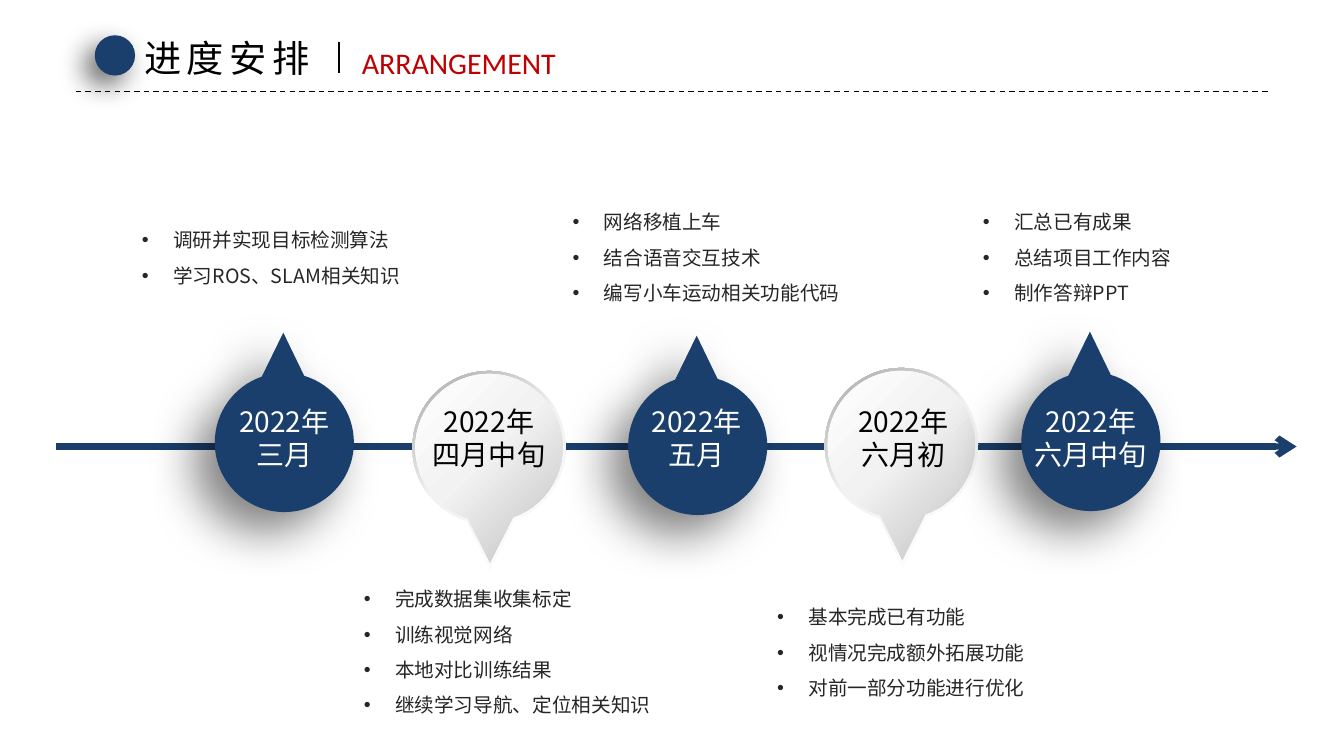
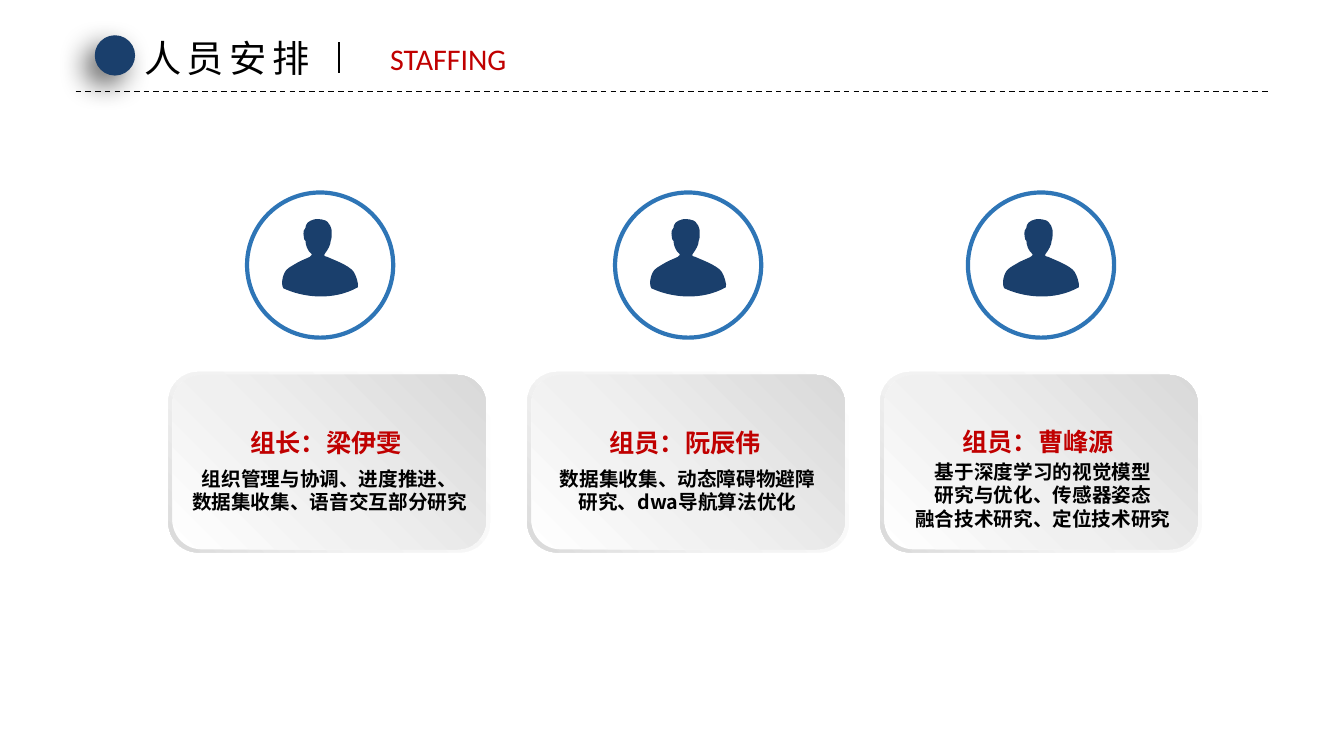
from math import cos, pi, sin, tan

from lxml import etree
from pptx import Presentation
from pptx.dml.color import RGBColor
from pptx.enum.dml import MSO_LINE
from pptx.enum.shapes import MSO_CONNECTOR, MSO_SHAPE
from pptx.enum.text import MSO_AUTO_SIZE, PP_ALIGN
from pptx.oxml.ns import qn
from pptx.util import Inches, Pt

# Shared style
NAVY = RGBColor(0x1A, 0x3F, 0x6C)
BLUE = RGBColor(0x2E, 0x75, 0xB6)
RED = RGBColor(0xC0, 0x00, 0x00)
DARK = RGBColor(0x26, 0x26, 0x26)
BLACK = RGBColor(0x00, 0x00, 0x00)
WHITE = RGBColor(0xFF, 0xFF, 0xFF)
CJK_FONT = "Noto Sans CJK SC"
LATIN_FONT = "Calibri"
LEFT, CENTER = PP_ALIGN.LEFT, PP_ALIGN.CENTER
OVAL, ROUNDED = MSO_SHAPE.OVAL, MSO_SHAPE.ROUNDED_RECTANGLE
STRAIGHT, DASH = MSO_CONNECTOR.STRAIGHT, MSO_LINE.DASH
FIT_SHAPE = MSO_AUTO_SIZE.SHAPE_TO_FIT_TEXT

# Gradients: clockwise angle and stops (position in percent, colour)
PIN_RIM = (235, [(0, "FFFFFF"), (55, "F2F2F2"), (100, "A6A6A6")])
PIN_FACE = (45, [(0, "FFFFFF"), (45, "F2F2F2"), (100, "BFBFBF")])
CARD_RIM = (135, [(0, "FFFFFF"), (62, "F2F2F2"), (100, "D9D9D9")])
CARD_FACE = (315, [(0, "FFFFFF"), (42, "F0F0F0"), (100, "D9D9D9")])

# Shadows: opacity in percent, blur and distance in points
DOT_SHADOW = (60, 20, 10)
PIN_SHADOW = (50, 35, 20)

# Bust outline in hundredths of an inch: start, then cubic curves
BUST_START = (106, 79)
BUST_CURVES = [
    ((102, 72), (81, 65), (80, 64)), ((79, 64), (75, 63), (77, 61)),
    ((80, 57), (83, 52), (83, 48)), ((83, 48), (84, 46), (84, 42)),
    ((84, 41), (84, 39), (84, 38)), ((84, 38), (83, 28), (75, 27)),
    ((75, 27), (68, 25), (63, 28)), ((58, 30), (58, 35), (58, 35)),
    ((56, 37), (56, 39), (56, 41)), ((56, 44), (57, 47), (57, 47)),
    ((57, 47), (57, 47), (58, 48)), ((58, 52), (60, 58), (64, 61)),
    ((65, 61), (64, 63), (62, 64)), ((60, 65), (55, 67), (51, 69)),
    ((46, 72), (42, 74), (40, 76)), ((36, 79), (33, 90), (36, 95)),
    ((55, 104), (85, 108), (110, 94)), ((111, 91), (108, 82), (106, 79)),
]

# Timeline: centre, points up, label left, second label line, list place, tasks
MILESTONES = [
    (2.82, 4.39, True, 2.13, "三月", (1.31, 2.1, 3.02, 0.81),
     ["调研并实现目标检测算法", "学习ROS、SLAM相关知识"]),
    (4.85, 4.44, False, 4.16, "四月中旬", (3.51, 5.66, 3.13, 1.51),
     ["完成数据集收集标定", "训练视觉网络", "本地对比训练结果",
      "继续学习导航、定位相关知识"]),
    (6.92, 4.42, True, 6.22, "五月", (5.58, 1.92, 3.02, 1.16),
     ["网络移植上车", "结合语音交互技术", "编写小车运动相关功能代码"]),
    (8.94, 4.41, False, 8.27, "六月初", (7.61, 5.84, 3.02, 1.16),
     ["基本完成已有功能", "视情况完成额外拓展功能", "对前一部分功能进行优化"]),
    (10.82, 4.38, True, 10.13, "六月中旬", (9.65, 1.92, 3.02, 1.16),
     ["汇总已有成果", "总结项目工作内容", "制作答辩PPT"]),
]

# Team: icon left, card left, name top, name, place of duties, duties
MEMBERS = [
    (2.45, 1.67, 4.24, "组长：梁伊雯", (1.85, 4.63, 2.84, 0.47),
     ["组织管理与协调、进度推进、", "数据集收集、语音交互部分研究"]),
    (6.1, 5.23, 4.24, "组员：阮辰伟", (5.4, 4.63, 2.84, 0.47),
     ["数据集收集、动态障碍物避障", "研究、dwa导航算法优化"]),
    (9.6, 8.73, 4.23, "组员：曹峰源", (9.05, 4.56, 2.59, 0.94),
     ["基于深度学习的视觉模型", "研究与优化、传感器姿态", "融合技术研究、定位技术研究"]),
]


def add_xml(parent, tag, **attributes):
    return etree.SubElement(parent, qn(tag), {k: str(v) for k, v in attributes.items()})


def pin_segments(x, y, radius, reach, side):
    """Tip, then a line and four arcs; side is -1 for a tip above, 1 below."""
    skew = 0.02 * side
    angles = [0.31 + skew, pi / 2, pi, 3 * pi / 2, 2 * pi - 0.31 + skew]

    def on_circle(angle, pull=0):
        return (x + radius * (sin(angle) + pull * cos(angle)),
                y + side * radius * (cos(angle) - pull * sin(angle)))

    segments = [[on_circle(angles[0])]]
    for start, end in zip(angles, angles[1:]):
        pull = 4 / 3 * tan((end - start) / 4)
        segments.append([on_circle(start, pull), on_circle(end, -pull), on_circle(end)])
    return (x + 0.01 * side, y + side * reach), segments


class SlideBuilder:
    def __init__(self, deck):
        self.deck = deck
        self.page = None

    def start_page(self, title, subtitle, subtitle_place, subtitle_align=LEFT):
        self.page = self.deck.slides.add_slide(self.deck.slide_layouts[6])
        self.line(0.75, 0.91, 12.58, 0.91, BLACK, 1, dash=DASH)
        self.shape(OVAL, 0.94, 0.35, 0.4, 0.4, NAVY, shadow=DOT_SHADOW)
        self.text((1.33, 0.3, 1.91, 0.55), [title], 26.6, BLACK, wrap=False, spacing=4)
        self.text(subtitle_place, [subtitle], 21.4, RED, subtitle_align,
                  font=LATIN_FONT, wrap=False)
        self.line(3.36, 0.42, 3.36, 0.72, BLACK, 1.5)

    def line(self, x1, y1, x2, y2, color, width, dash=None, arrow=False):
        line = self.page.shapes.add_connector(
            STRAIGHT, Inches(x1), Inches(y1), Inches(x2), Inches(y2))
        line.line.color.rgb = color
        line.line.width = Pt(width)
        if dash:
            line.line.dash_style = dash
        if arrow:
            add_xml(line.line._get_or_add_ln(), "a:tailEnd", type="arrow")
        add_xml(line._element.spPr, "a:effectLst")

    def paint(self, shape, fill, outline=None, shadow=None):
        """Fill with a colour or a gradient; optional outline and shadow."""
        shape.shadow.inherit = False
        if isinstance(fill, RGBColor):
            shape.fill.solid()
            shape.fill.fore_color.rgb = fill
        else:
            angle, stops = fill
            shape.fill.gradient()
            gradient = shape._element.spPr.find(qn("a:gradFill"))
            for child in list(gradient):
                gradient.remove(child)
            stop_list = add_xml(gradient, "a:gsLst")
            for position, color in stops:
                stop = add_xml(stop_list, "a:gs", pos=position * 1000)
                add_xml(stop, "a:srgbClr", val=color)
            add_xml(gradient, "a:lin", ang=angle * 60000, scaled=0)
        if outline:
            shape.line.color.rgb = outline
            shape.line.width = Pt(3)
        else:
            shape.line.fill.background()
        if shadow:
            opacity, blur, distance = shadow
            effects = shape._element.spPr.find(qn("a:effectLst"))
            outer = add_xml(effects, "a:outerShdw", blurRad=Pt(blur), dist=Pt(distance),
                            dir=135 * 60000, algn="tr", rotWithShape=0)
            color = add_xml(outer, "a:srgbClr", val="000000")
            add_xml(color, "a:alpha", val=opacity * 1000)

    def shape(self, kind, left, top, width, height, fill, outline=None, shadow=None):
        shape = self.page.shapes.add_shape(
            kind, Inches(left), Inches(top), Inches(width), Inches(height))
        self.paint(shape, fill, outline, shadow)

    def outline(self, place, start, segments, fill, shadow=None):
        """A closed outline; segments hold one point (line) or three (curve)."""
        builder = self.page.shapes.build_freeform(Inches(start[0]), Inches(start[1]))
        builder.add_line_segments(
            [(Inches(x), Inches(y)) for x, y in (points[-1] for points in segments)])
        shape = builder.convert_to_shape()
        left, top, width, height = (Inches(value) for value in place)
        shape.left, shape.top, shape.width, shape.height = left, top, width, height
        contour = next(shape._element.iter(qn("a:path")))
        for child in list(contour):
            contour.remove(child)
        contour.set("w", str(width))
        contour.set("h", str(height))
        for index, points in enumerate([[start]] + segments):
            tag = "a:cubicBezTo" if len(points) == 3 else "a:lnTo"
            step = add_xml(contour, tag if index else "a:moveTo")
            for x, y in points:
                add_xml(step, "a:pt", x=Inches(x) - left, y=Inches(y) - top)
        add_xml(contour, "a:close")
        self.paint(shape, fill, shadow=shadow)

    def text(self, place, lines, size, color, align=LEFT, font=CJK_FONT, bold=False,
             wrap=True, spacing=0, bullets=False, inset=True):
        box = self.page.shapes.add_textbox(*(Inches(value) for value in place))
        frame = box.text_frame
        frame.word_wrap = wrap
        frame.auto_size = FIT_SHAPE
        if not inset:
            frame.margin_left = frame.margin_right = 0
            frame.margin_top = frame.margin_bottom = 0
        for index, content in enumerate(lines):
            para = frame.add_paragraph() if index else frame.paragraphs[0]
            para.text = content
            para.alignment = align
            properties = para._p.get_or_add_pPr()
            if bullets:
                para.line_spacing = 1.5
                properties.set("marL", str(Inches(0.31)))
                properties.set("indent", str(-Inches(0.31)))
                add_xml(properties, "a:buFont", typeface="Arial")
                add_xml(properties, "a:buChar", char="•")
            para.font.size = Pt(size)
            para.font.bold = bold
            para.font.color.rgb = color
            para.font.name = font
            defaults = properties.find(qn("a:defRPr"))
            add_xml(defaults, "a:ea", typeface=font)
            if spacing:
                defaults.set("spc", str(spacing * 100))

    def pin_layer(self, x, y, radius, reach, up, fill, shadow=None):
        top = y - (reach if up else radius)
        start, segments = pin_segments(x, y, radius, reach, -1 if up else 1)
        self.outline((x - radius, top, 2 * radius, radius + reach), start, segments,
                     fill, shadow)

    def pin(self, x, y, up):
        if up:
            self.pin_layer(x, y, 0.69, 1.09, up, NAVY, PIN_SHADOW)
        else:
            self.pin_layer(x, y, 0.76, 1.22, up, PIN_RIM)
            self.pin_layer(x, y, 0.73, 1.14, up, PIN_FACE)

    def person(self, left, top):
        def spot(point):
            return left + point[0] / 100, top + point[1] / 100

        self.shape(OVAL, left, top, 1.45, 1.44, WHITE, outline=BLUE)
        self.outline((left + 0.35, top + 0.26, 0.75, 0.77), spot(BUST_START),
                     [[spot(point) for point in curve] for curve in BUST_CURVES], NAVY)

    def card(self, left, name_top, name, duties_place, duties):
        self.shape(ROUNDED, left, 3.69, 3.19, 1.79, CARD_RIM)
        self.shape(ROUNDED, left + 0.04, 3.72, 3.11, 1.73, CARD_FACE)
        self.text((left + 0.49, name_top, 2.15, 0.3), [name], 18, RED, CENTER,
                  bold=True, inset=False)
        self.text(duties_place, duties, 14, BLACK, CENTER, bold=True, inset=False)


def main():
    deck = Presentation()
    deck.slide_width, deck.slide_height = Inches(13.33), Inches(7.5)
    slides = SlideBuilder(deck)

    # Schedule
    slides.start_page("进度安排", "ARRANGEMENT", (3.49, 0.39, 2.47, 0.46))
    slides.line(0.56, 4.43, 12.86, 4.43, NAVY, 4.5, arrow=True)
    for x, y, up, label_left, month, place, tasks in MILESTONES:
        slides.pin(x, y, up)
        slides.text((label_left, 3.96, 1.38, 0.77), ["2022年", month], 20,
                    WHITE if up else BLACK, CENTER)
        slides.text(place, tasks, 14, DARK, bullets=True)

    # Team
    slides.start_page("人员安排", "STAFFING", (3.62, 0.35, 1.65, 0.46), CENTER)
    for icon_left, card_left, name_top, name, duties_place, duties in MEMBERS:
        slides.card(card_left, name_top, name, duties_place, duties)
        slides.person(icon_left, 1.91)

    deck.save("out.pptx")


if __name__ == "__main__":
    main()
